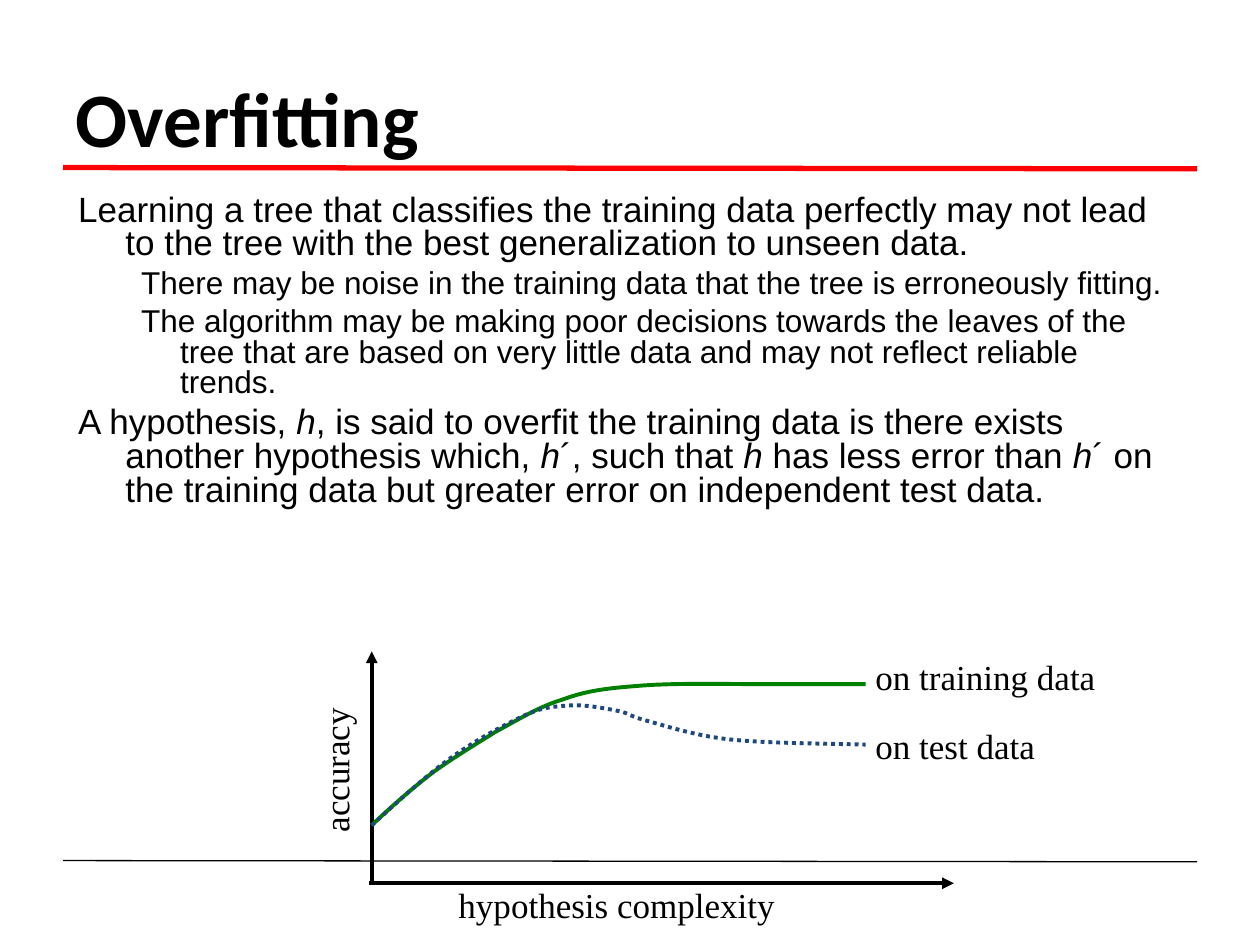
from dataclasses import dataclass
from lxml.etree import SubElement
from pptx import Presentation
from pptx.dml.color import RGBColor
from pptx.enum.dml import MSO_LINE
from pptx.enum.shapes import MSO_CONNECTOR
from pptx.enum.text import MSO_ANCHOR, MSO_AUTO_SIZE, PP_ALIGN
from pptx.oxml.ns import qn
from pptx.util import Inches, Pt


@dataclass
class Theme:
    black: RGBColor = RGBColor(0, 0, 0)
    red: RGBColor = RGBColor(255, 0, 0)
    green: RGBColor = RGBColor(0, 128, 0)
    blue: RGBColor = RGBColor(0x1F, 0x49, 0x7D)
    title: int = 44
    sizes: tuple = (20, 18)
    label: int = 20
    thick: float = 2.25


look = Theme()
deck = Presentation()
deck.slide_width, deck.slide_height = Inches(10), Inches(7.5)
slide = deck.slides.add_slide(deck.slide_layouts[1])
shapes = slide.shapes

# Grid of 100 columns by 75 rows
col, row = deck.slide_width / 100, deck.slide_height / 75


def grid(*nums):
    return [round(n * (row if i % 2 else col)) for i, n in enumerate(nums)]


def style(run, font, size, bold=False, slant=False):
    run.font.name, run.font.size = font, Pt(size)
    run.font.bold, run.font.italic = bold, slant
    run.font.color.rgb = look.black


# Rules and axes: ends, colour, weight, arrowhead
lines = [
    ((5, 13.3, 95, 13.4), look.red, 3, None),
    ((5, 68.3, 95, 68.4), look.black, 0.75, None),
    ((29.5, 51.7, 29.5, 70.1), look.black, look.thick, "headEnd"),
    ((29.3, 70.1, 75.7, 70.1), look.black, look.thick, "tailEnd"),
]
for ends, hue, width, tip in lines:
    line = shapes.add_connector(MSO_CONNECTOR.STRAIGHT, *grid(*ends))
    line.line.color.rgb, line.line.width = hue, Pt(width)
    props = line._element.spPr
    if tip:
        SubElement(props.find(qn("a:ln")), qn("a:" + tip), type="triangle")
    SubElement(props, qn("a:effectLst"))

# Title
title = shapes.title
title.left, title.top, title.width, title.height = grid(5, 3, 90, 12.5)
frame = title.text_frame
frame.text = "Overfitting"
frame.vertical_anchor = MSO_ANCHOR.MIDDLE
frame.auto_size = MSO_AUTO_SIZE.NONE
frame.paragraphs[0].alignment = PP_ALIGN.LEFT
style(frame.paragraphs[0].runs[0], "Calibri", look.title, bold=True)

# Body: level, then runs that alternate upright and italic
points = [
    (0, ["Learning a tree that classifies the training data perfectly may not "
         "lead to the tree with the best generalization to unseen data."]),
    (1, ["There may be noise in the training data that the tree is "
         "erroneously fitting."]),
    (1, ["The algorithm may be making poor decisions towards the leaves of the "
         "tree that are based on very little data and may not reflect reliable "
         "trends."]),
    (0, ["A hypothesis, ", "h", ", is said to overfit the training data is "
         "there exists another hypothesis which, ", "h", "´, such that ", "h",
         " has less error than", " h", "´ on the training data but greater "
         "error on independent test data."]),
]
indents = [(3.75, -3.75), (8.1, -3.1)]
body = slide.placeholders[1]
body.left, body.top, body.width, body.height = grid(5.2, 15, 89.3, 35.5)
frame = body.text_frame
frame.auto_size = MSO_AUTO_SIZE.NONE
for i, (level, parts) in enumerate(points):
    para = frame.add_paragraph() if i else frame.paragraphs[0]
    para.level, para.line_spacing = level, 0.8
    size = look.sizes[level]
    para.space_before = Pt(size / 4)
    props = para._p.get_or_add_pPr()
    for key, span in zip(("marL", "indent"), indents[level]):
        props.set(key, str(round(span * col)))
    SubElement(props, qn("a:buNone"))
    for j, part in enumerate(parts):
        run = para.add_run()
        run.text = part
        style(run, "Arial", size, slant=j % 2 == 1)

# Accuracy curves: start, then Bezier controls and end of each piece
curves = [
    (look.green, MSO_LINE.SOLID, (29.5, 65.5), [
        (31.2, 63.9, 32.9, 62.4, 34.5, 61.2),
        (36.2, 60, 37.7, 59.1, 39.3, 58.1),
        (41, 57.2, 42.7, 56.1, 44.7, 55.5),
        (46.6, 54.8, 48.3, 54.6, 51.1, 54.4),
        (53.8, 54.2, 58.1, 54.3, 61.1, 54.3),
        (64, 54.3, 66.3, 54.3, 68.7, 54.3)]),
    (look.blue, MSO_LINE.ROUND_DOT, (29.5, 65.5), [
        (31.7, 63.5, 34, 61.4, 36, 60),
        (38, 58.6, 40.1, 57.5, 41.6, 56.8),
        (43.1, 56.1, 43.9, 56.1, 45.1, 56),
        (46.3, 55.9, 47.9, 56.2, 48.9, 56.4),
        (50, 56.6, 49.8, 56.8, 51.3, 57.2),
        (52.8, 57.6, 55.1, 58.4, 58, 58.7),
        (60.9, 59, 64.8, 59, 68.7, 59.1)]),
]
steps = 10
for hue, dash, start, pieces in curves:
    dots, last = [], start
    for ax, ay, bx, by, x, y in pieces:
        for n in range(1, steps + 1):
            t = n / steps
            u = 1 - t
            mix = (u**3, 3 * u * u * t, 3 * u * t * t, t**3)
            dots.append(grid(*(sum(m * v for m, v in zip(mix, vals)) for vals in
                               ((last[0], ax, bx, x), (last[1], ay, by, y)))))
        last = (x, y)
    pen = shapes.build_freeform(*grid(*start))
    pen.add_line_segments(dots, close=False)
    curve = pen.convert_to_shape()
    curve.shadow.inherit = False
    curve.fill.background()
    curve.line.color.rgb, curve.line.width = hue, Pt(look.thick)
    curve.line.dash_style = dash

# Labels: text, box, turn
labels = [
    ("hypothesis complexity", (35.4, 69.6, 27.1, 4.4), 0),
    ("accuracy", (20.7, 58.9, 11.9, 4.4), 270),
    ("on training data", (68.5, 51.5, 20, 4.4), 0),
    ("on test data", (68.5, 57, 14.7, 4.4), 0),
]
for text, place, turn in labels:
    box = shapes.add_textbox(*grid(*place))
    box.rotation = turn
    box.text_frame.text = text
    box.text_frame.word_wrap = False
    box.text_frame.auto_size = MSO_AUTO_SIZE.SHAPE_TO_FIT_TEXT
    box.text_frame.paragraphs[0].alignment = PP_ALIGN.LEFT
    style(box.text_frame.paragraphs[0].runs[0], "Times New Roman", look.label)

deck.save("out.pptx")
